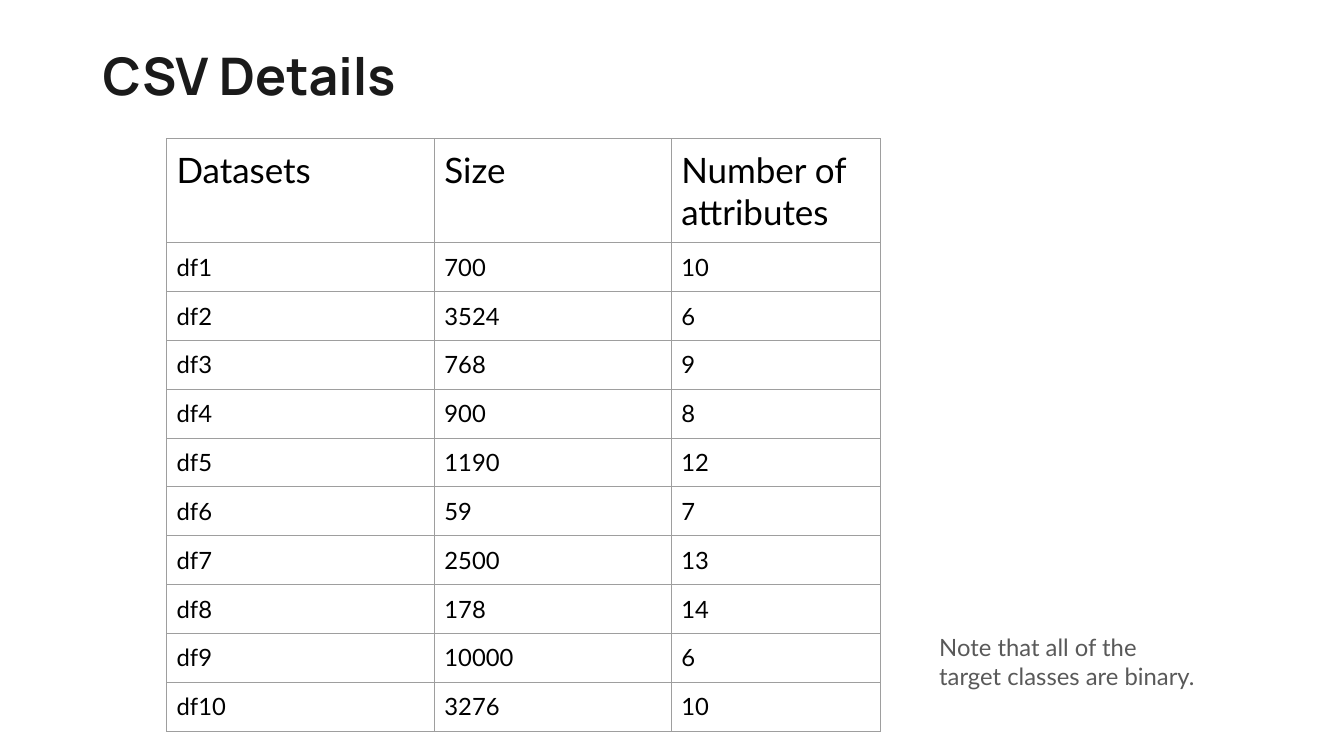
"""Build the CSV Details slide: a table of datasets and a short note."""
import pptx
import pptx.dml.color
import pptx.enum.text
import pptx.oxml
import pptx.oxml.ns
import pptx.util
from lxml import etree

Cm, Pt = pptx.util.Cm, pptx.util.Pt
RGBColor = pptx.dml.color.RGBColor

HEADING = "CSV Details"
NOTE = "Note that all of the target classes are binary."
HEADER = ("Datasets", "Size", "Number of attributes")
DATASETS = [
    ("df1", "700", "10"),
    ("df2", "3524", "6"),
    ("df3", "768", "9"),
    ("df4", "900", "8"),
    ("df5", "1190", "12"),
    ("df6", "59", "7"),
    ("df7", "2500", "13"),
    ("df8", "178", "14"),
    ("df9", "10000", "6"),
    ("df10", "3276", "10"),
]

BLACK = RGBColor(0x00, 0x00, 0x00)
HEADING_INK = RGBColor(0x1A, 0x1A, 0x1A)
NOTE_GREY = RGBColor(0x59, 0x59, 0x59)
GRID_GREY = RGBColor(0x9E, 0x9E, 0x9E)

COLUMN_WIDTHS = (Cm(6.75), Cm(5.97), Cm(5.26))
HEADER_HEIGHT, ROW_HEIGHT = Cm(2.62), Cm(1.23)
PADDING = Cm(0.25)


def write(frame, text, size, font, color, bold=False):
    paragraph = frame.paragraphs[0]
    run = paragraph.add_run()
    run.text = text
    run.font.size = Pt(size)
    run.font.name = font
    run.font.color.rgb = color
    run.font.bold = bold
    return paragraph


def add_text(slide, left, top, width, height):
    frame = slide.shapes.add_textbox(Cm(left), Cm(top), Cm(width), Cm(height)).text_frame
    frame.word_wrap = True
    frame.margin_left = frame.margin_right = frame.margin_top = frame.margin_bottom = PADDING
    return frame


def outline(cell):
    properties = cell._tc.get_or_add_tcPr()
    for position, side in enumerate(("a:lnL", "a:lnR", "a:lnT", "a:lnB")):
        line = etree.Element(pptx.oxml.ns.qn(side), w=str(Pt(0.75)))
        fill = etree.SubElement(line, pptx.oxml.ns.qn("a:solidFill"))
        etree.SubElement(fill, pptx.oxml.ns.qn("a:srgbClr"), val=str(GRID_GREY))
        properties.insert(position, line)


def add_datasets(slide):
    rows = [HEADER] + DATASETS
    height = HEADER_HEIGHT + ROW_HEIGHT * len(DATASETS)
    table = slide.shapes.add_table(
        len(rows), len(HEADER), Cm(4.2), Cm(3.5), sum(COLUMN_WIDTHS), height
    ).table
    table.first_row = table.horz_banding = False
    for column, width in zip(table.columns, COLUMN_WIDTHS):
        column.width = width
    for index, values in enumerate(rows):
        table.rows[index].height = ROW_HEIGHT if index else HEADER_HEIGHT
        for cell, value in zip(table.rows[index].cells, values):
            cell.margin_left = cell.margin_right = PADDING
            cell.margin_top = cell.margin_bottom = PADDING
            cell.fill.background()
            write(cell.text_frame, value, 17 if index else 25, "Lato", BLACK)
            outline(cell)


def main():
    deck = pptx.Presentation()
    deck.slide_width, deck.slide_height = Cm(33.87), Cm(19.05)
    slide = deck.slides.add_slide(deck.slide_layouts[6])

    heading = add_text(slide, 2.34, 1.02, 29.2, 3.68)
    write(heading, HEADING, 37, "Manrope", HEADING_INK, bold=True).line_spacing = 0.9

    add_datasets(slide)

    note = add_text(slide, 23.42, 15.7, 7.05, 2.69)
    note.auto_size = pptx.enum.text.MSO_AUTO_SIZE.SHAPE_TO_FIT_TEXT
    write(note, NOTE, 17, "Lato", NOTE_GREY)

    deck.save("out.pptx")


if __name__ == "__main__":
    main()
